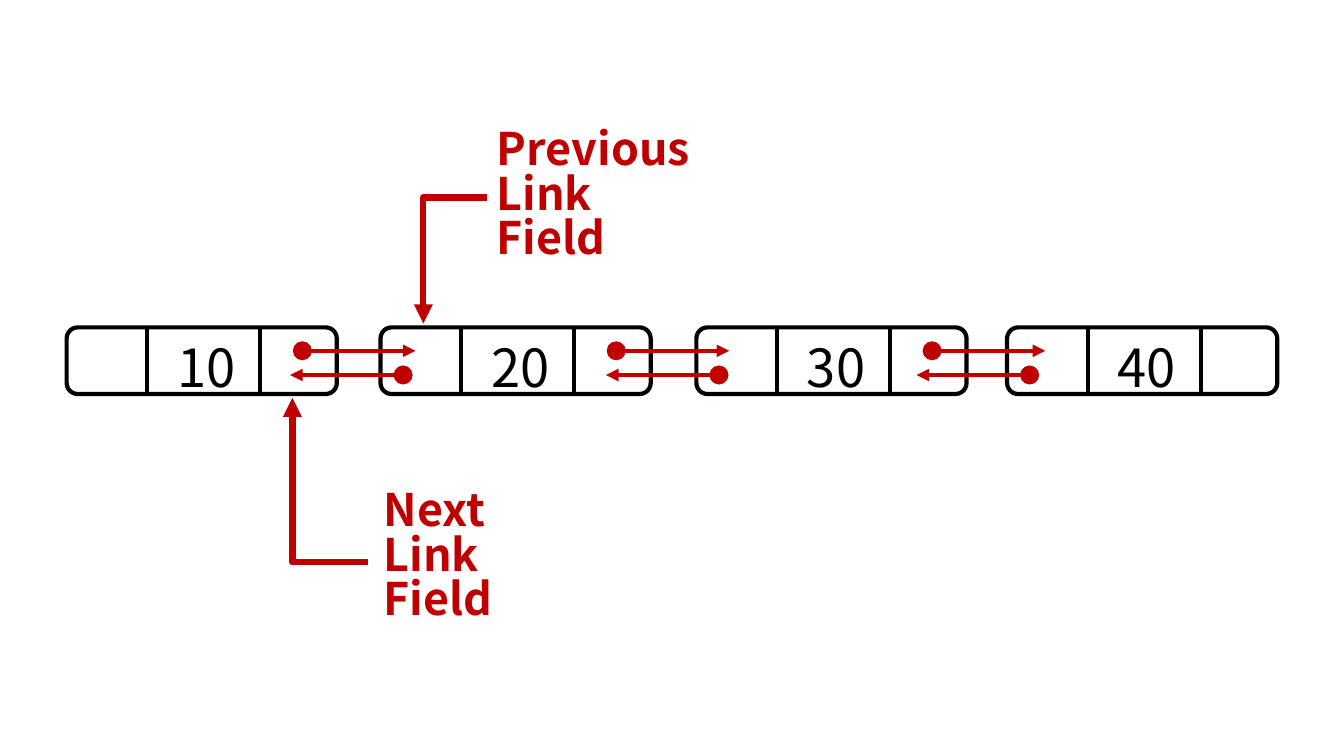
import dataclasses

import pptx
import pptx.dml.color
import pptx.enum.shapes
import pptx.enum.text
import pptx.oxml.ns
import pptx.util
from lxml import etree

Cm = pptx.util.Cm
Pt = pptx.util.Pt
SHAPES = pptx.enum.shapes.MSO_SHAPE
CONNECTORS = pptx.enum.shapes.MSO_CONNECTOR
ALIGN = pptx.enum.text.PP_ALIGN
ANCHOR = pptx.enum.text.MSO_ANCHOR


@dataclasses.dataclass(frozen=True)
class Theme:
    """Colours, font and sizes used on the slide."""
    ink: str = "000000"
    accent: str = "C00000"
    font: str = "Noto Sans CJK KR"
    value_size: float = 37.5
    caption_size: float = 32
    thin: float = 3
    thick: float = 4.5


THEME = Theme()
NODES = {"10": 1.68, "20": 9.59, "30": 17.55, "40": 25.38}
NODE_TOP, NODE_WIDTH, NODE_HEIGHT = 8.25, 6.81, 1.68
DIVIDERS = (2.03, 4.88)
LINK_LENGTH, DOT = 2.85, 0.48
NEXT_X, NEXT_Y = 5.94, 8.84
PREVIOUS_X, PREVIOUS_Y = 0.57, 9.45


def colour(code):
    """Turn a hex code into a colour."""
    return pptx.dml.color.RGBColor.from_string(code)


def apply_format(target, values):
    """Set every attribute named in the dict."""
    for name, value in values.items():
        setattr(target, name, value)


def add_text(page, box, lines, size, code, bold=False, align=ALIGN.LEFT,
             anchor=ANCHOR.TOP, spacing=1.0):
    """Add a text box; each line is one paragraph."""
    frame = page.shapes.add_textbox(*map(Cm, box)).text_frame
    apply_format(frame, {"word_wrap": True, "vertical_anchor": anchor})
    frame.text = "\n".join(lines)
    for para in frame.paragraphs:
        apply_format(para, {"alignment": align, "line_spacing": spacing})
        for span in para.runs:
            apply_format(span.font, {"name": THEME.font, "size": Pt(size),
                                     "bold": bold})
            span.font.color.rgb = colour(code)


def add_line(page, start, end, code, width, arrow=False, bent=False):
    """Add a straight or one-corner line, with an optional arrowhead."""
    kind = CONNECTORS.ELBOW if bent else CONNECTORS.STRAIGHT
    line = page.shapes.add_connector(kind, *map(Cm, (*start, *end)))
    line.line.color.rgb = colour(code)
    line.line.width = Pt(width)
    qn = pptx.oxml.ns.qn
    properties = line._element.spPr
    if bent:
        properties.find(qn("a:prstGeom")).set("prst", "bentConnector2")
    if arrow:
        etree.SubElement(properties.find(qn("a:ln")), qn("a:tailEnd"),
                         type="triangle")
    etree.SubElement(properties, qn("a:effectLst"))


def add_node(page, value, left):
    """Add a list node: outline, value and two dividers."""
    outline = page.shapes.add_shape(
        SHAPES.ROUNDED_RECTANGLE,
        *map(Cm, (left, NODE_TOP, NODE_WIDTH, NODE_HEIGHT)))
    outline.shadow.inherit = False
    outline.fill.background()
    outline.line.color.rgb = colour(THEME.ink)
    outline.line.width = Pt(THEME.thin)
    add_text(page, (left + 1.82, 8.43, 3.4, 1.63), [value], THEME.value_size,
             THEME.ink, align=ALIGN.CENTER, anchor=ANCHOR.MIDDLE)
    for offset in DIVIDERS:
        x = left + offset
        add_line(page, (x, NODE_TOP + NODE_HEIGHT), (x, NODE_TOP),
                 THEME.ink, THEME.thin)


def add_link(page, x, y, length):
    """Add a dot with an arrow; a negative length points left."""
    dot = page.shapes.add_shape(
        SHAPES.OVAL, *map(Cm, (x - DOT / 2, y - DOT / 2, DOT, DOT)))
    dot.shadow.inherit = False
    dot.fill.solid()
    dot.fill.fore_color.rgb = colour(THEME.accent)
    dot.line.fill.background()
    add_line(page, (x, y), (x + length, y), THEME.accent, THEME.thin,
             arrow=True)


def add_caption(page, box, lines, start, end):
    """Add a field caption and the bent arrow to its field."""
    add_line(page, start, end, THEME.accent, THEME.thick, arrow=True,
             bent=True)
    add_text(page, box, lines, THEME.caption_size, THEME.accent, bold=True,
             spacing=0.83)


def main():
    """Build the doubly linked list slide."""
    deck = pptx.Presentation()
    apply_format(deck, {"slide_width": Cm(33.87), "slide_height": Cm(19.05)})
    page = deck.slides.add_slide(deck.slide_layouts[6])
    for value, left in NODES.items():
        add_node(page, value, left)
    lefts = list(NODES.values())
    for left, following in zip(lefts, lefts[1:]):
        add_link(page, left + NEXT_X, NEXT_Y, LINK_LENGTH)
        add_link(page, following + PREVIOUS_X, PREVIOUS_Y, -LINK_LENGTH)
    add_caption(page, (9.42, 12.24, 5.87, 3.66), ["Next", "Link", "Field"],
                (9.27, 14.17), (7.37, 10.03))
    add_caption(page, (12.27, 3.15, 5.87, 3.66), ["Previous", "Link", "Field"],
                (12.27, 4.98), (10.67, 8.15))
    deck.save("out.pptx")


main()
